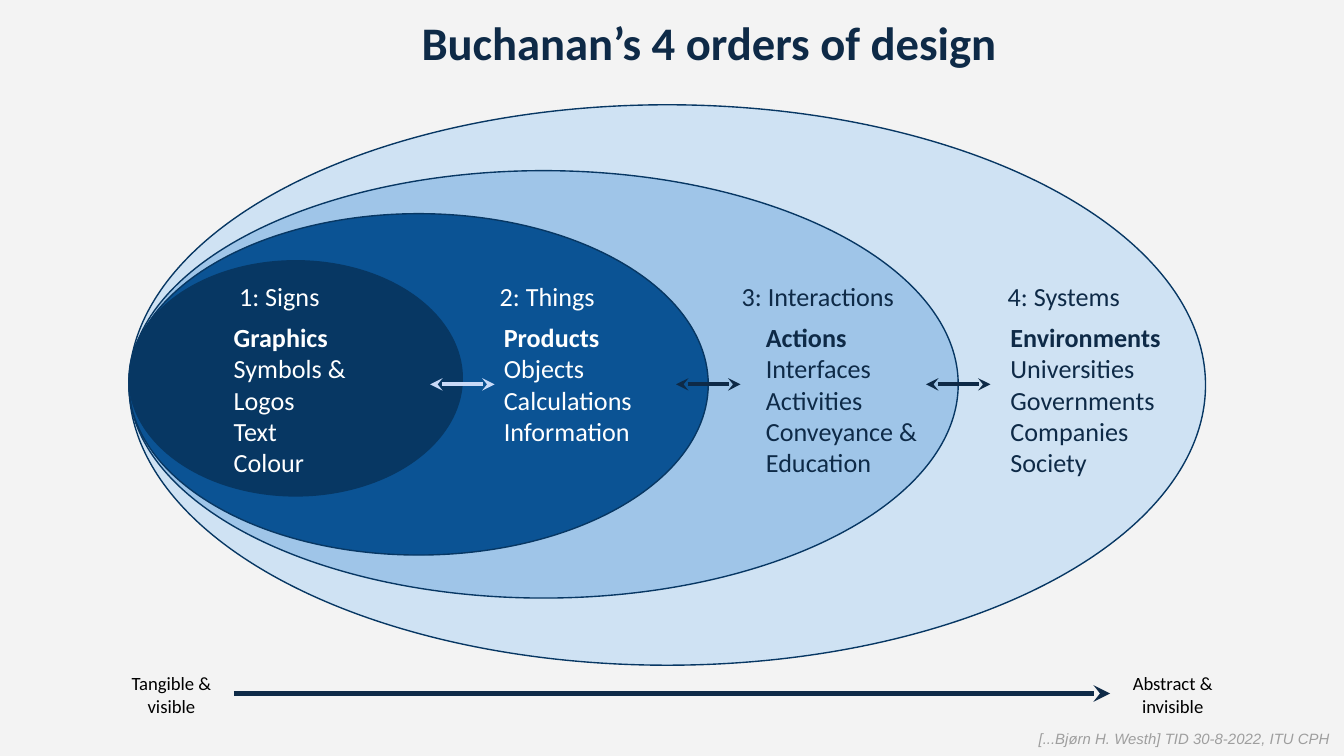
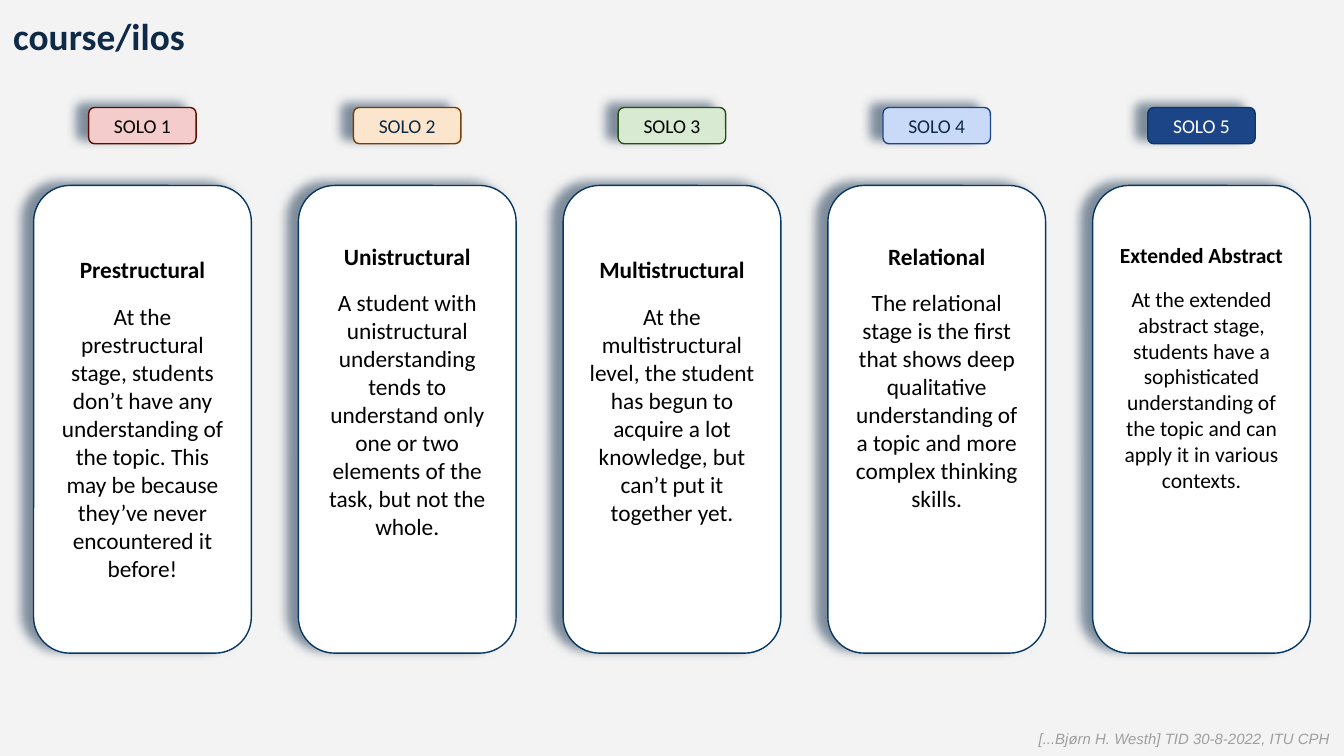
"""Build two slides: the four orders of design and the five SOLO levels."""
from lxml import etree
from pptx import Presentation
from pptx import util as u
from pptx.dml import color
from pptx.enum import shapes, text
from pptx.oxml import ns

NAVY, DEEP, WHITE, BLACK = "0E2A47", "073763", "FFFFFF", "000000"
LEFT, CENTER = text.PP_ALIGN.LEFT, text.PP_ALIGN.CENTER
TOP, MIDDLE = text.MSO_ANCHOR.TOP, text.MSO_ANCHOR.MIDDLE
GROW, FIXED = text.MSO_AUTO_SIZE.SHAPE_TO_FIT_TEXT, text.MSO_AUTO_SIZE.NONE


def write(box, lines, size, ink, align=LEFT, grow=GROW, anchor=TOP, bold_first=False,
          inset=0.1, gap=0, font="Calibri", italic=False):
    frame = box.text_frame
    frame_format = {"word_wrap": True, "auto_size": grow, "vertical_anchor": anchor,
                    "margin_left": u.Inches(0.1), "margin_right": u.Inches(0.1),
                    "margin_top": u.Inches(inset), "margin_bottom": u.Inches(0.1)}
    for name, value in frame_format.items():
        setattr(frame, name, value)
    for row, line in enumerate(lines):
        para = frame.add_paragraph() if row else frame.paragraphs[0]
        para.alignment = align
        para.space_before = u.Pt(gap if row else 0)
        span = para.add_run()
        span.text = line
        span_format = {"name": font, "size": u.Pt(size), "italic": italic,
                       "bold": bold_first and row == 0}
        for name, value in span_format.items():
            setattr(span.font, name, value)
        span.font.color.rgb = color.RGBColor.from_string(ink)


def draw(page, kind, place, fill, outline, shaded=False):
    shape = page.shapes.add_shape(kind, *map(u.Inches, place))
    shape.shadow.inherit = False
    shape.fill.solid()
    shape.fill.fore_color.rgb = color.RGBColor.from_string(fill)
    shape.line.color.rgb = color.RGBColor.from_string(outline)
    shape.line.width = u.Pt(0.75)
    if shaded:
        effects = shape.element.spPr.find(ns.qn("a:effectLst"))
        shade = etree.SubElement(effects, ns.qn("a:outerShdw"), blurRad=str(u.Pt(5.6)),
                                 dist=str(u.Pt(6.8)), dir=str(199 * 60000),
                                 algn="bl", rotWithShape="0")
        tint = etree.SubElement(shade, ns.qn("a:srgbClr"), val=NAVY)
        etree.SubElement(tint, ns.qn("a:alpha"), val="51000")
    return shape


deck = Presentation()
deck.slide_width, deck.slide_height = u.Inches(10), u.Inches(10 * 9 / 16)
backdrop = deck.slide_master.background.fill
backdrop.solid()
backdrop.fore_color.rgb = color.RGBColor.from_string("F3F3F3")

titles = [("Buchanan’s 4 orders of design", (1.98, 0, 6.59, 0.67), 25, CENTER),
          ("course/ilos", (0, 0, 10, 0.5), 20, LEFT)]
pages = []
for title, place, size, align in titles:
    page = deck.slides.add_slide(deck.slide_layouts[6])
    box = page.shapes.add_textbox(*map(u.Inches, place))
    write(box, [title], size, NAVY, align, FIXED, bold_first=True)
    footer = page.shapes.add_textbox(*map(u.Inches, (7.63, 5.36, 2.47, 0.34)))
    write(footer, ["[...Bjørn H. Westh] TID 30-8-2022, ITU CPH"], 8, "9E9E9E",
          font="Arial", italic=True)
    pages.append(page)
orders_page, solo_page = pages

ellipses = [(0.78, 8.01, 4.17, "CFE2F3"), (1.27, 6.17, 3.18, "9FC5E8"),
            (1.59, 4.31, 2.54, "0B5394"), (1.94, 2.48, 1.75, DEEP)]
for top, width, height, fill in ellipses:
    draw(orders_page, shapes.MSO_SHAPE.OVAL, (0.96, top, width, height), fill, DEEP)

orders = [
    ("1: Signs", 1.68, 0.98, WHITE, 1.64, 1.29, 1.38,
     ["Graphics", "Symbols & Logos", "Text", "Colour"]),
    ("2: Things", 3.62, 1.16, WHITE, 3.65, 1.29, 1.14,
     ["Products", "Objects", "Calculations", "Information"]),
    ("3: Interactions", 5.42, 1.63, NAVY, 5.6, 1.42, 1.38,
     ["Actions", "Interfaces", "Activities", "Conveyance & Education"]),
    ("4: Systems", 7.4, 1.63, NAVY, 7.42, 1.6, 1.38,
     ["Environments", "Universities", "Governments", "Companies", "Society"]),
]
for heading, head_left, head_width, ink, left, width, height, examples in orders:
    box = orders_page.shapes.add_textbox(*map(u.Inches, (head_left, 1.99, head_width, 0.44)))
    write(box, [heading], 14, ink)
    box = orders_page.shapes.add_textbox(*map(u.Inches, (left, 2.29, width, height)))
    write(box, examples, 14, ink, bold_first=True)

for label, left in [("Tangible & visible", 0.84), ("Abstract & invisible", 8.29)]:
    box = orders_page.shapes.add_textbox(*map(u.Inches, (left, 4.9, 0.87, 0.54)))
    write(box, [label], 10, BLACK, CENTER)

both_ends = ["a:headEnd", "a:tailEnd"]
arrows = [(1.74, 8.26, 5.16, NAVY, 3, ["a:tailEnd"]),
          (3.2, 3.68, 2.86, "C9DAF8", 2.25, both_ends),
          (5.03, 5.51, 2.86, NAVY, 2.25, both_ends),
          (6.89, 7.37, 2.86, NAVY, 2.25, both_ends)]
for start, end, height, ink, weight, tips in arrows:
    arrow = orders_page.shapes.add_connector(
        shapes.MSO_CONNECTOR.STRAIGHT, *map(u.Inches, (start, height, end, height)))
    arrow.line.color.rgb = color.RGBColor.from_string(ink)
    arrow.line.width = u.Pt(weight)
    outline = arrow.element.spPr.find(ns.qn("a:ln"))
    for tip in tips:
        etree.SubElement(outline, ns.qn(tip), type="stealth", w="med", len="med")
    etree.SubElement(arrow.element.spPr, ns.qn("a:effectLst"))

levels = [
    ("F4CCCC", "5B0F00", BLACK, 12.5, 0.44, "Prestructural",
     "At the prestructural stage, students don’t have any understanding of the topic. "
     "This may be because they’ve never encountered it before!"),
    ("FCE5CD", "783F04", NAVY, 12.5, 0.34, "Unistructural",
     "A student with unistructural understanding tends to understand only one or two "
     "elements of the task, but not the whole."),
    ("D9EAD3", "274E13", BLACK, 12.5, 0.44, "Multistructural",
     "At the multistructural level, the student has begun to acquire a lot knowledge, "
     "but can’t put it together yet."),
    ("C9DAF8", "1C4587", NAVY, 12.5, 0.34, "Relational",
     "The relational stage is the first that shows deep qualitative understanding of "
     "a topic and more complex thinking skills."),
    ("1C4587", DEEP, WHITE, 11.5, 0.34, "Extended Abstract",
     "At the extended abstract stage, students have a sophisticated understanding of "
     "the topic and can apply it in various contexts."),
]
rounded = shapes.MSO_SHAPE.ROUNDED_RECTANGLE
for index, (fill, outline, ink, size, inset, level, summary) in enumerate(levels):
    shift = 1.97 * index
    tag = draw(solo_page, rounded, (0.66 + shift, 0.8, 0.8, 0.27), fill, outline, True)
    write(tag, [f"SOLO {index + 1}"], 10.5, ink, CENTER, FIXED, MIDDLE)
    card = draw(solo_page, rounded, (0.25 + shift, 1.38, 1.62, 3.48), WHITE, DEEP, True)
    write(card, [level, summary], size, BLACK, CENTER, FIXED, bold_first=True,
          inset=inset, gap=10)

deck.save("out.pptx")
